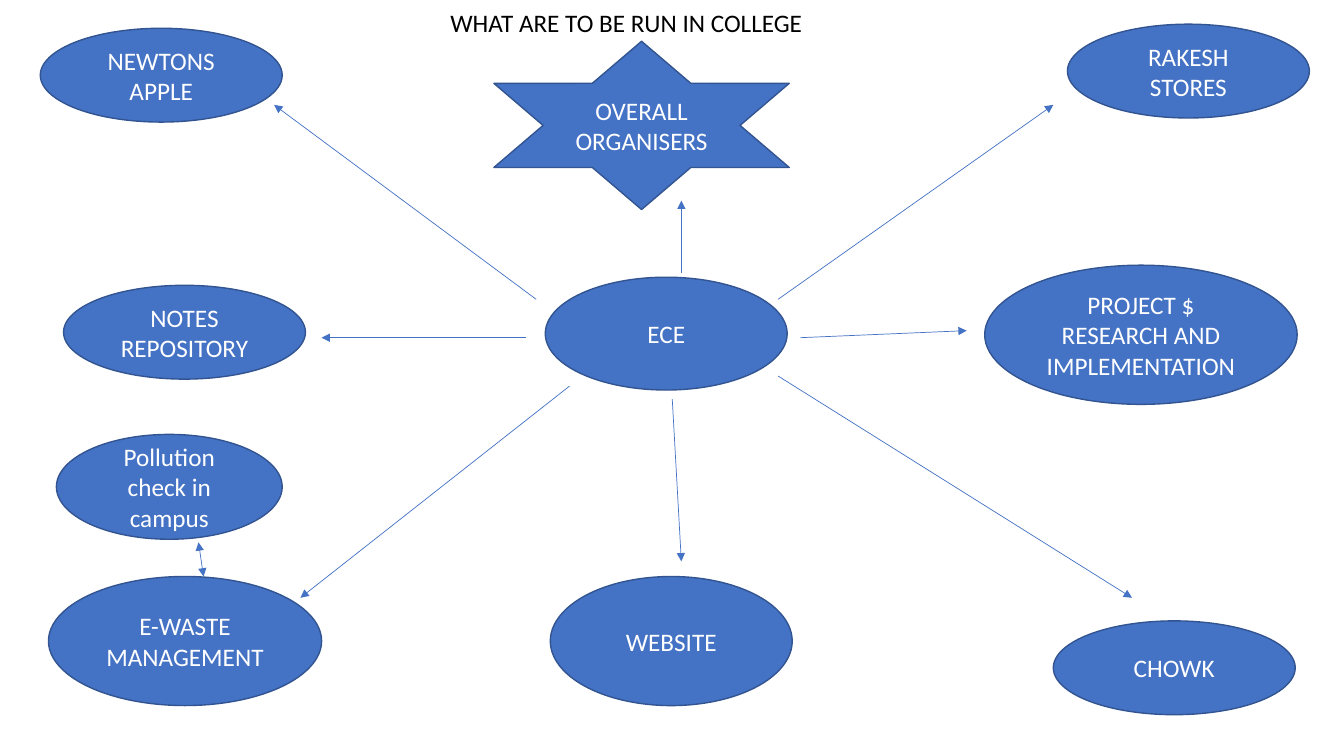
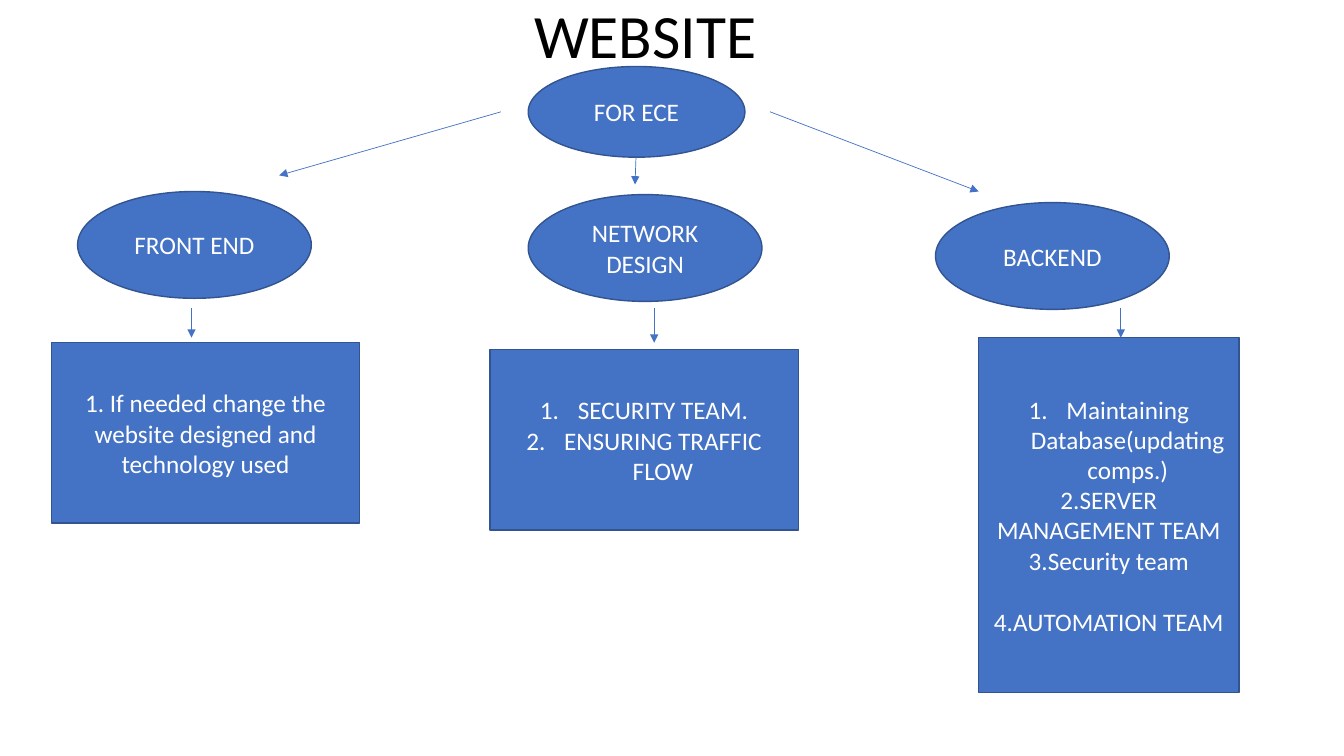
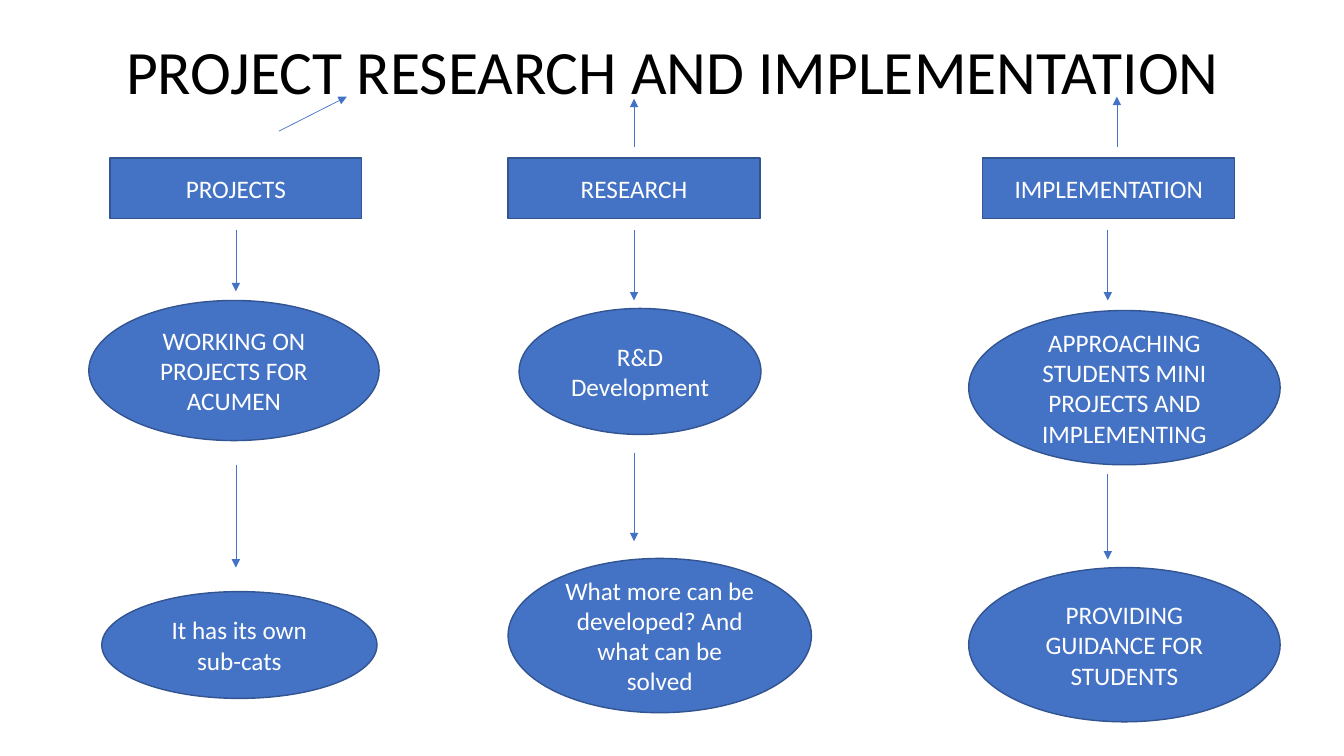
import pptx
import pptx.util
import pptx.dml.color
import pptx.enum.shapes
import pptx.enum.text
import pptx.oxml.ns
from dataclasses import dataclass
from lxml import etree

Pt = pptx.util.Pt
RGB = pptx.dml.color.RGBColor.from_string
Shape = pptx.enum.shapes.MSO_SHAPE
Align = pptx.enum.text.PP_ALIGN
Anchor = pptx.enum.text.MSO_ANCHOR
qn = pptx.oxml.ns.qn


# Shared look
@dataclass(frozen=True)
class Theme:
    font: str = "Calibri"
    fill: str = "4472C4"
    outline: str = "325491"
    light: str = "FFFFFF"
    dark: str = "000000"
    body_size: float = 18
    title_size: float = 44
    outline_width: float = 1
    arrow_width: float = 0.5
    list_indent: float = 27


THEME = Theme()


@dataclass(frozen=True)
class Line:
    text: str
    numbered: bool = False
    space_before: float = 0


# Text
def add_run(paragraph, text, size, color):
    run = paragraph.add_run()
    run.text = text
    run.font.name = THEME.font
    run.font.size = Pt(size)
    run.font.color.rgb = RGB(color)


def set_indent(paragraph, margin, first_line=0):
    properties = paragraph._p.get_or_add_pPr()
    properties.set("marL", str(Pt(margin)))
    properties.set("indent", str(Pt(first_line)))
    return properties


def number_paragraph(paragraph):
    properties = set_indent(paragraph, THEME.list_indent, -THEME.list_indent)
    etree.SubElement(properties, qn("a:buAutoNum"), type="arabicPeriod")


def add_text(slide, text, box, size, anchor, indent=0, line_spacing=1.0):
    shape = slide.shapes.add_textbox(*map(Pt, box))
    frame = shape.text_frame
    frame.word_wrap = True
    frame.vertical_anchor = anchor
    paragraph = frame.paragraphs[0]
    paragraph.line_spacing = line_spacing
    set_indent(paragraph, indent)
    add_run(paragraph, text, size, THEME.dark)


def add_title(slide, text, left, top, indent):
    add_text(slide, text, (left, top, 828, 104.4), THEME.title_size,
             Anchor.MIDDLE, indent, 0.9)


# Shapes and arrows
def add_node(slide, kind, box, *lines):
    shape = slide.shapes.add_shape(kind, *map(Pt, box))
    shape.shadow.inherit = False
    shape.fill.solid()
    shape.fill.fore_color.rgb = RGB(THEME.fill)
    shape.line.color.rgb = RGB(THEME.outline)
    shape.line.width = Pt(THEME.outline_width)
    frame = shape.text_frame
    frame.word_wrap = True
    frame.vertical_anchor = Anchor.MIDDLE
    for index, line in enumerate(lines):
        paragraph = frame.add_paragraph() if index else frame.paragraphs[0]
        paragraph.alignment = Align.CENTER
        paragraph.space_before = Pt(line.space_before)
        if line.numbered:
            number_paragraph(paragraph)
        add_run(paragraph, line.text, THEME.body_size, THEME.light)


def add_nodes(slide, kind, nodes):
    for text, *box in nodes:
        add_node(slide, kind, box, Line(text))


def add_arrow(slide, start_x, start_y, end_x, end_y, both_ends=False):
    connector = slide.shapes.add_connector(
        pptx.enum.shapes.MSO_CONNECTOR.STRAIGHT,
        Pt(start_x), Pt(start_y), Pt(end_x), Pt(end_y))
    connector.line.color.rgb = RGB(THEME.fill)
    connector.line.width = Pt(THEME.arrow_width)
    line = connector.line._get_or_add_ln()
    for end in ("a:headEnd", "a:tailEnd") if both_ends else ("a:tailEnd",):
        etree.SubElement(line, qn(end), type="triangle")
    etree.SubElement(connector._element.spPr, qn("a:effectLst"))


def add_arrows(slide, arrows):
    for arrow in arrows:
        add_arrow(slide, *arrow)


# Slides
def build_overview(slide):
    add_text(slide, "WHAT ARE TO BE RUN IN COLLEGE", (314.6, 1.4, 298, 28.8),
             THEME.body_size, Anchor.TOP)
    width, height = 172.8, 67
    add_nodes(slide, Shape.OVAL, [
        ("ECE", 389.5, 198, width, 80.6),
        ("NEWTONS APPLE", 28.8, 20.2, width, height),
        ("RAKESH STORES", 762.5, 17.3, width, height),
        ("NOTES REPOSITORY", 45.4, 203.8, width, height),
        ("PROJECT $ RESEARCH AND IMPLEMENTATION", 703.4, 189.4, 223.2, 99.4),
        ("E-WASTE MANAGEMENT", 34.6, 411.8, 195.1, 92.2),
        ("CHOWK", 752.4, 443.5, width, height),
        ("WEBSITE", 393.1, 411.8, width, 92.2),
        ("Pollution check in campus", 40.3, 310.3, 161.3, 74.9),
    ])
    add_node(slide, Shape.STAR_6_POINT, (352.8, 29.5, 211, 120.2),
             Line("OVERALL ORGANISERS"))
    add_arrows(slide, [
        (383, 213.8, 195.8, 74.9),
        (486.7, 195.1, 486.7, 143.3),
        (555.8, 213.8, 752.4, 74.9),
        (571.7, 241.2, 690.5, 236.2),
        (555.8, 268.6, 808.6, 427),
        (375.8, 241.2, 229.7, 241.2),
        (406.8, 275.8, 214.6, 427),
        (480.2, 285.1, 486.7, 401),
    ])
    add_arrow(slide, 141.8, 387.4, 145.4, 411.8, both_ends=True)


def build_website(slide):
    add_title(slide, "WEBSITE", 66.2, -24.5, 308.3)
    width, height = 167, 76.3
    add_nodes(slide, Shape.OVAL, [
        ("FOR ECE", 377.3, 47.5, 154.8, 64.8),
        ("FRONT END", 55.4, 136.8, width, height),
        ("NETWORK DESIGN", 377.3, 139, width, height),
        ("BACKEND", 668.2, 144.7, width, height),
    ])
    add_node(slide, Shape.RECTANGLE, (36.7, 244.8, 220.3, 128.9),
             Line("1. If needed change the website designed and technology used"))
    add_node(slide, Shape.RECTANGLE, (349.9, 249.8, 220.3, 128.9),
             Line("SECURITY TEAM.", numbered=True),
             Line("ENSURING TRAFFIC FLOW", numbered=True))
    add_node(slide, Shape.RECTANGLE, (699.1, 241.2, 185.8, 253.4),
             Line("Maintaining Database(updating comps.)", numbered=True),
             Line("2.SERVER MANAGEMENT TEAM"),
             Line("3.Security team"),
             Line("4.AUTOMATION TEAM", space_before=22))
    add_arrows(slide, [
        (357.8, 79.9, 199.4, 125.3),
        (550.1, 79.9, 699.1, 136.8),
        (454.3, 112.3, 453.6, 131.8),
        (136.8, 220.3, 136.8, 241.2),
        (467.3, 220.3, 467.3, 244.8),
        (800.6, 220.3, 800.6, 241.2),
    ])


def build_project(slide):
    add_title(slide, "PROJECT RESEARCH AND IMPLEMENTATION", 53.3, 0.7, 29.8)
    width, height = 180, 43.2
    add_nodes(slide, Shape.RECTANGLE, [
        ("PROJECTS", 78.5, 113, width, height),
        ("RESEARCH", 362.9, 113, width, height),
        ("IMPLEMENTATION", 702, 113, width, height),
    ])
    add_nodes(slide, Shape.OVAL, [
        ("WORKING ON PROJECTS FOR ACUMEN", 63.4, 214.6, 207.4, 100.1),
        ("It has its own sub-cats", 72.7, 422.6, 196.6, 76.3),
        ("R&D Development", 370.8, 220.3, 172.8, 90),
        ("What more can be developed? And what can be solved",
         362.9, 398.9, 216.7, 110.2),
        ("APPROACHING STUDENTS MINI PROJECTS AND IMPLEMENTING",
         691.9, 221.8, 222.5, 110.2),
        ("PROVIDING GUIDANCE FOR STUDENTS", 691.9, 405.4, 222.5, 110.2),
    ])
    # Downward arrows: column centre, first end, second start and end
    for center, first_end, second_start, second_end in [
        (168.5, 208.1, 331.9, 405.4),
        (452.9, 214.6, 323.3, 386.6),
        (791.3, 214.6, 338.4, 399.6),
    ]:
        add_arrow(slide, center, 164.2, center, first_end)
        add_arrow(slide, center, second_start, center, second_end)
    # Arrows up to the title
    add_arrows(slide, [
        (199.4, 93.6, 247.7, 69.1),
        (452.9, 105.1, 452.9, 70.6),
        (797.8, 105.1, 797.8, 69.1),
    ])


def main():
    presentation = pptx.Presentation()
    presentation.slide_width = Pt(960)
    presentation.slide_height = Pt(540)
    blank = presentation.slide_layouts[6]
    for build in (build_overview, build_website, build_project):
        build(presentation.slides.add_slide(blank))
    presentation.save("out.pptx")


main()
